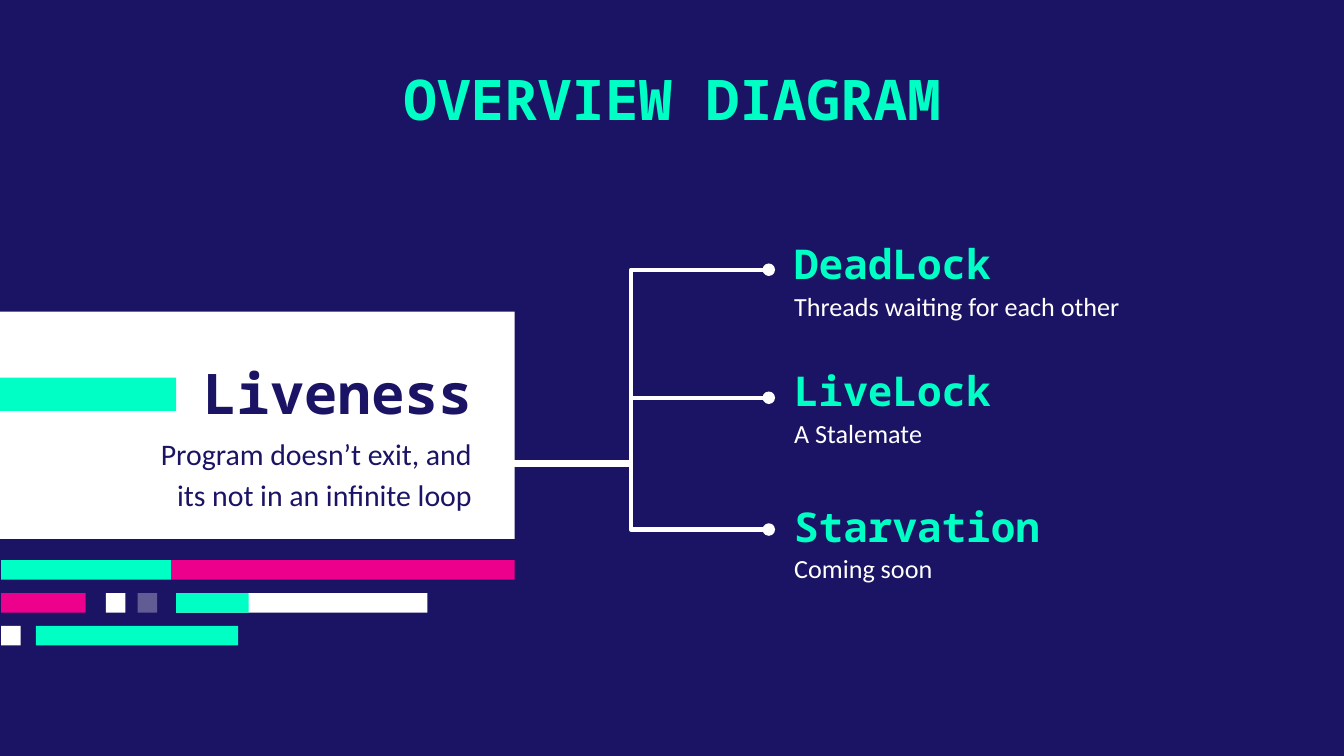
from lxml import etree
from pptx import Presentation
from pptx.dml.color import RGBColor
from pptx.enum.shapes import MSO_CONNECTOR, MSO_SHAPE
from pptx.enum.text import MSO_ANCHOR, MSO_AUTO_SIZE, PP_ALIGN
from pptx.oxml.ns import qn
from pptx.util import Cm, Pt

NAVY = RGBColor(0x1B, 0x14, 0x64)
MINT = RGBColor(0x00, 0xFF, 0xC5)
PINK = RGBColor(0xEC, 0x00, 0x8C)
WHITE = RGBColor(0xFF, 0xFF, 0xFF)
RECT, ELBOW = MSO_SHAPE.RECTANGLE, MSO_CONNECTOR.ELBOW
TOP, MIDDLE = MSO_ANCHOR.TOP, MSO_ANCHOR.MIDDLE
LEFT, CENTER, RIGHT = PP_ALIGN.LEFT, PP_ALIGN.CENTER, PP_ALIGN.RIGHT
NO_FIT = MSO_AUTO_SIZE.NONE
MONO, SANS = "Noto Sans Mono", "Calibri"

BAR_TOP, BAR_STEP, BAR_H = 10.59, 0.62, 0.37
BARS = [
    (0, 3.23, 6.5, PINK, 100),
    (0, 0.02, 3.21, MINT, 100),
    (1, 3.33, 4.75, WHITE, 100),
    (1, 3.33, 1.37, MINT, 100),
    (1, 0.02, 1.6, PINK, 100),
    (1, 2.6, BAR_H, WHITE, 31),
    (1, 2.0, BAR_H, WHITE, 100),
    (2, 0.02, BAR_H, WHITE, 100),
    (2, 0.68, 3.82, MINT, 100),
]
BRANCHES = [
    ("DeadLock", "Threads waiting for each other", 4.6, 8.79, 5.1),
    ("LiveLock", "A Stalemate", 7.0, 8.74, 7.52),
    ("Starvation", "Coming soon", 9.56, 8.79, 10.01),
]


def set_all(target, values):
    """Set attributes from a dict."""
    for name, value in values.items():
        setattr(target, name, value)


def write(sp, text, font, size, color, align=LEFT, anchor=TOP, inset=0, spacing=1.0):
    """Write one formatted paragraph into a shape."""
    tf = sp.text_frame
    set_all(tf, {"word_wrap": True, "auto_size": NO_FIT, "vertical_anchor": anchor,
                 "margin_left": Cm(0.25), "margin_right": Cm(0.25),
                 "margin_top": Cm(inset), "margin_bottom": Cm(inset)})
    p = tf.paragraphs[0]
    set_all(p, {"alignment": align, "line_spacing": spacing})
    r = p.add_run()
    r.text = text
    set_all(r.font, {"name": font, "size": Pt(size), "bold": font == MONO})
    r.font.color.rgb = color


def add_title(s, text):
    """Place and format the slide title."""
    sp = s.shapes.title
    set_all(sp, {"left": Cm(3.56), "top": Cm(0.97), "width": Cm(18.29), "height": Cm(1.85)})
    write(sp, text, MONO, 30, MINT, CENTER, inset=0.25)


def add_text(s, box, *args, **kwargs):
    """Add a text box."""
    write(s.shapes.add_textbox(*map(Cm, box)), *args, **kwargs)


def add_bar(s, box, color, opacity=100):
    """Add a plain filled rectangle."""
    sp = s.shapes.add_shape(RECT, *map(Cm, box))
    sp.shadow.inherit = False
    sp.fill.solid()
    sp.fill.fore_color.rgb = color
    sp.line.fill.background()
    if opacity < 100:
        clr = sp.fill._xPr.find(".//" + qn("a:srgbClr"))
        etree.SubElement(clr, qn("a:alpha"), val=str(opacity * 1000))


def add_branch_line(s, start_y, end_y):
    """Add an elbow connector that ends in a dot."""
    c = s.shapes.add_connector(ELBOW, Cm(9.32), Cm(start_y), Cm(14.53), Cm(end_y))
    c.line.color.rgb = WHITE
    c.line.width = Pt(2.25)
    etree.SubElement(c.line._get_or_add_ln(), qn("a:tailEnd"), type="oval")
    etree.SubElement(c._element.spPr, qn("a:effectLst"))


def main():
    """Build the slide."""
    prs = Presentation()
    prs.slide_width, prs.slide_height = Cm(25.4), Cm(14.29)
    s = prs.slides.add_slide(prs.slide_layouts[5])
    s.background.fill.solid()
    s.background.fill.fore_color.rgb = NAVY

    add_title(s, "OVERVIEW DIAGRAM")
    add_bar(s, (0, 5.89, 9.73, 4.3), WHITE)
    add_bar(s, (0, 7.14, 3.33, 0.63), MINT)
    add_text(s, (2.41, 6.86, 6.76, 1.09), "Liveness", MONO, 30, NAVY, RIGHT, MIDDLE)
    add_text(s, (2.41, 8.13, 6.76, 1.22),
             "Program doesn’t exit, and its not in an infinite loop",
             SANS, 16, NAVY, RIGHT, spacing=1.15)
    for row, left, width, color, opacity in BARS:
        add_bar(s, (left, BAR_TOP + row * BAR_STEP, width, BAR_H), color, opacity)
    for name, note, top, start_y, end_y in BRANCHES:
        add_text(s, (14.76, top, 7.49, 0.76), name, MONO, 22, MINT, anchor=MIDDLE)
        add_text(s, (14.76, top + 0.8, 7.49, 0.76), note, SANS, 14, WHITE, spacing=1.15)
        add_branch_line(s, start_y, end_y)
    prs.save("out.pptx")


main()
